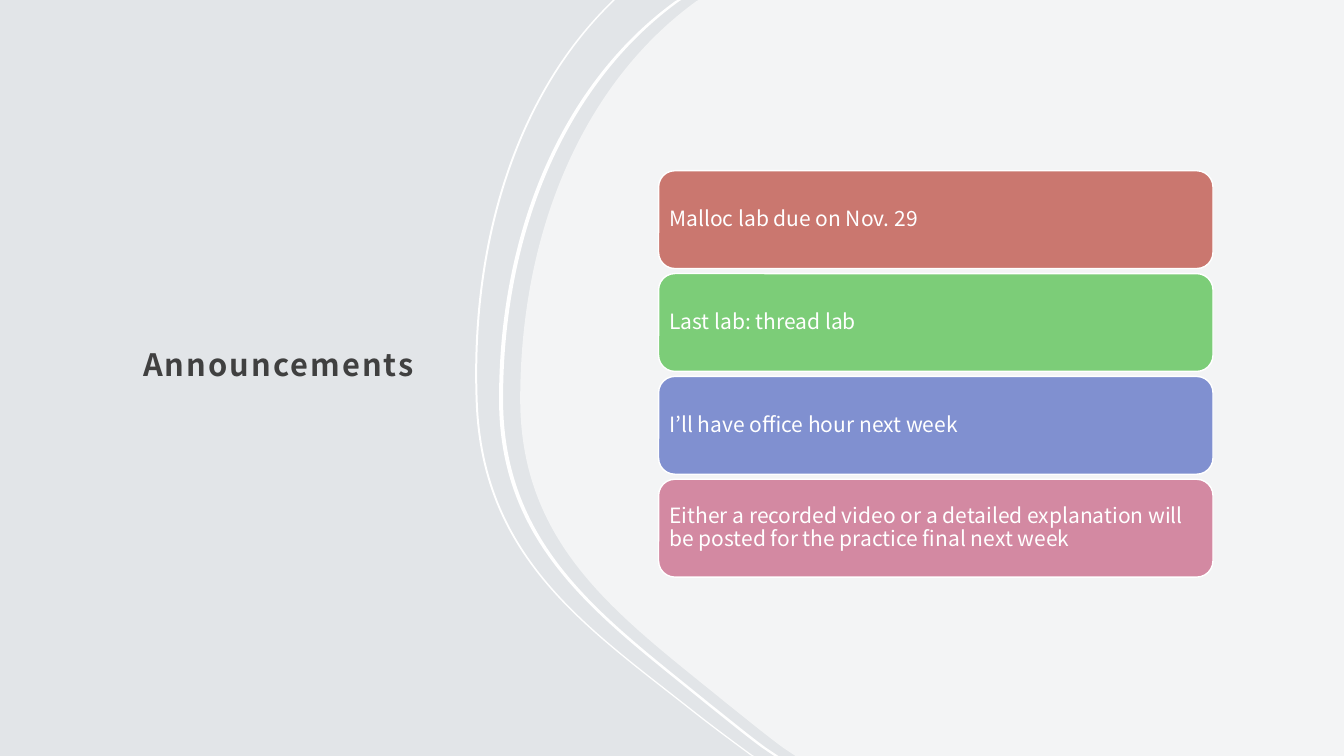
from lxml.etree import Element, SubElement
from pptx import Presentation
from pptx.dml.color import RGBColor
from pptx.enum.shapes import MSO_SHAPE
from pptx.enum.text import MSO_ANCHOR, MSO_AUTO_SIZE, PP_ALIGN
from pptx.oxml.ns import qn
from pptx.util import Inches, Pt

W, H = Inches(13.33), Inches(7.5)
COL, ROW = W / 12, H / 12
FONT = "Noto Sans CJK JP"
WHITE = RGBColor(0xFF, 0xFF, 0xFF)
BACKGROUND = RGBColor(0xE2, 0xE5, 0xE8)
TITLE_GRAY = RGBColor(0x40, 0x40, 0x40)
RED = RGBColor(0xCA, 0x77, 0x6F)
GREEN = RGBColor(0x7C, 0xCD, 0x78)
BLUE = RGBColor(0x80, 0x90, 0xD0)
PINK = RGBColor(0xD3, 0x89, 0xA2)

CARDS = [
    ("Malloc lab due on Nov. 29", RED),
    ("Last lab: thread lab", GREEN),
    ("I’ll have office hour next week", BLUE),
    ("Either a recorded video or a detailed explanation will be posted "
     "for the practice final next week", PINK),
]
PANEL_EDGE = [
    (6.93, 0), (6.91, 0.01),
    (5.79, 0.82), (5.16, 2.29), (5.16, 3.96),
    (5.16, 5.44), (6.17, 6.13), (7.21, 6.98),
    (7.4, 7.13), (7.58, 7.28), (7.77, 7.42), (7.89, 7.5),
]
OUTER_EDGE = [
    (6.08, 0), (6.05, 0.03),
    (5.12, 0.94), (4.65, 2.4), (4.72, 4.02),
    (4.79, 5.55), (5.82, 6.23), (6.87, 7.06),
    (7.06, 7.21), (7.25, 7.35), (7.44, 7.49), (7.46, 7.5),
]


def grid(col, row, cols, rows):
    """Return a box in EMU from grid columns and rows."""
    return tuple(round(v) for v in (col * COL, row * ROW, cols * COL, rows * ROW))


def write(sp, text, size, color, bold=False, spacing=1.0, tracking=0, inset=0.06):
    """Put one formatted, left-aligned paragraph in a shape."""
    tf = sp.text_frame
    tf.word_wrap = True
    tf.auto_size = MSO_AUTO_SIZE.NONE
    tf.vertical_anchor = MSO_ANCHOR.MIDDLE
    tf.margin_left = tf.margin_right = Inches(inset)
    tf.margin_top = tf.margin_bottom = Inches(inset)
    p = tf.paragraphs[0]
    p.alignment = PP_ALIGN.LEFT
    p.line_spacing = spacing
    r = p.add_run()
    r.text = text
    r.font.name, r.font.size, r.font.bold = FONT, Pt(size), bold
    r.font.color.rgb = color
    if tracking:
        r.font._element.set("spc", str(round(tracking * 100)))


def segments(edge):
    """Split an edge into a line, three cubic curves and a line."""
    curves = [edge[i:i + 3] for i in range(2, len(edge) - 1, 3)]
    return [edge[1:2], *curves, edge[-1:]]


def shift(points, dx):
    """Move points sideways by dx inches."""
    return [(x + dx, y) for x, y in points]


def add_outline(s, start, parts, opacity=100):
    """Draw a closed white shape from line and curve segments in inches."""
    builder = s.shapes.build_freeform(Inches(start[0]), Inches(start[1]))
    ends = [part[-1] for part in parts]
    builder.add_line_segments([(Inches(x), Inches(y)) for x, y in ends], close=True)
    sp = builder.convert_to_shape()
    sp.shadow.inherit = False
    sp.line.fill.background()
    sp.fill.solid()
    sp.fill.fore_color.rgb = WHITE
    for line, part in zip(list(sp._element.iter(qn("a:lnTo"))), parts):
        if len(part) == 3:
            line.tag = qn("a:cubicBezTo")
            for i, (x, y) in enumerate(part[:2]):
                control = Element(qn("a:pt"), x=str(Inches(x) - sp.left),
                                  y=str(Inches(y) - sp.top))
                line.insert(i, control)
    if opacity < 100:
        color = sp._element.spPr.find(qn("a:solidFill"))[0]
        SubElement(color, qn("a:alpha")).set("val", str(opacity * 1000))


def add_backdrop(s):
    """Draw the pale curved panel and the two ribbons beside it."""
    s.background.fill.solid()
    s.background.fill.fore_color.rgb = BACKGROUND
    right, bottom = W / Inches(1), H / Inches(1)
    corners = [[(right, bottom)], [(right, 0)]]
    add_outline(s, PANEL_EDGE[0], segments(PANEL_EDGE) + corners, opacity=60)
    for edge, width in ((OUTER_EDGE, 0.02), (shift(PANEL_EDGE, -0.21), 0.04)):
        back = shift(edge, width)[::-1]
        add_outline(s, edge[0], segments(edge) + [back[:1]] + segments(back))


def add_title(s, text, box):
    """Format the title placeholder in its box."""
    sp = s.shapes.title
    sp.left, sp.top, sp.width, sp.height = box
    write(sp, text, 22, TITLE_GRAY, bold=True, spacing=1.3, tracking=1.5, inset=0.12)


def add_cards(s, cards, box):
    """Stack equal rounded cards in a box."""
    left, top, width, height = box
    gap = Inches(0.05)
    card_height = (height - gap * (len(cards) - 1)) // len(cards)
    for i, (text, color) in enumerate(cards):
        sp = s.shapes.add_shape(MSO_SHAPE.ROUNDED_RECTANGLE, left,
                                top + i * (card_height + gap), width, card_height)
        sp.shadow.inherit = False
        sp.fill.solid()
        sp.fill.fore_color.rgb = color
        sp.line.color.rgb = WHITE
        sp.line.width = Pt(1)
        write(sp, text, 15, WHITE, spacing=0.9)


def main():
    """Build and save the announcements slide."""
    prs = Presentation()
    prs.slide_width, prs.slide_height = W, H
    s = prs.slides.add_slide(prs.slide_layouts[5])
    add_backdrop(s)
    add_title(s, "Announcements", grid(1.17, 1.94, 2.97, 7.49))
    add_cards(s, CARDS, grid(5.88, 2.71, 4.95, 6.45))
    prs.save("out.pptx")


if __name__ == "__main__":
    main()
